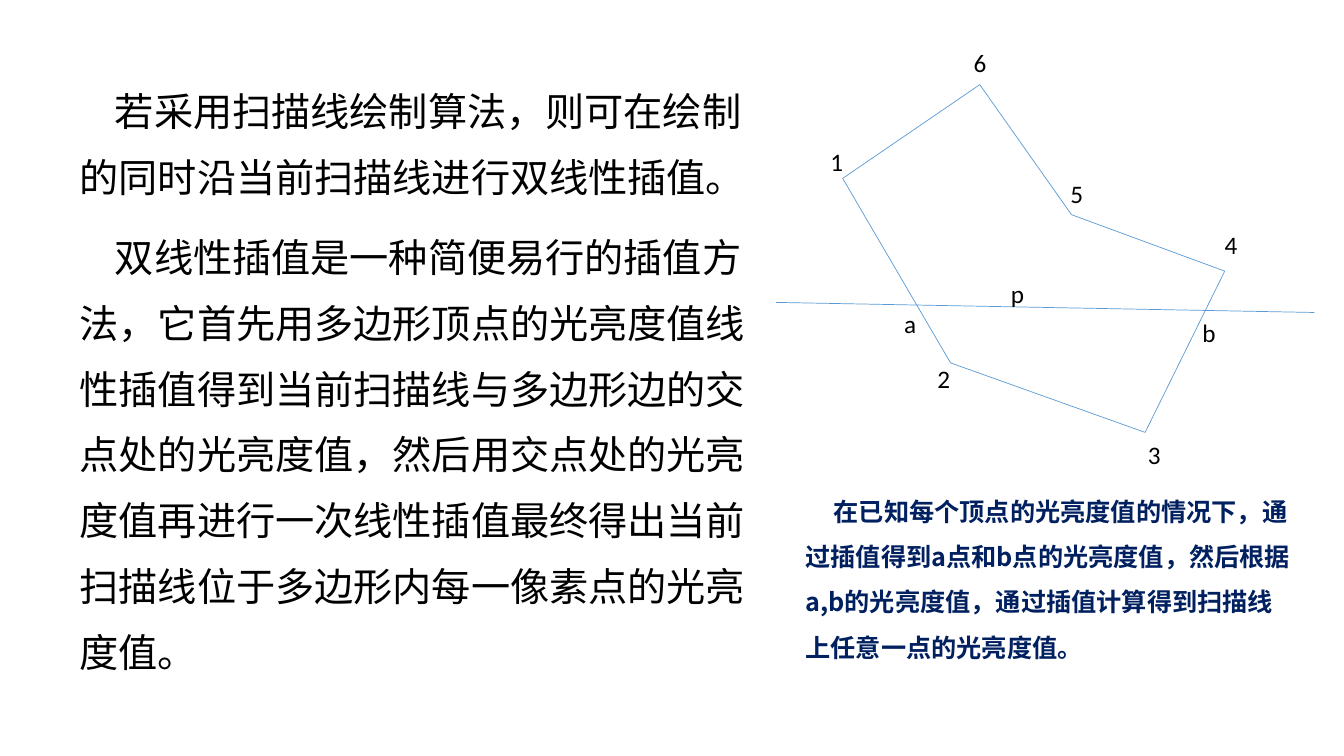
import pptx
import pptx.dml.color
import pptx.enum.shapes
import pptx.enum.text
import pptx.oxml.ns
import pptx.oxml.xmlchemy
import pptx.util

Pt = pptx.util.Pt
FIT = pptx.enum.text.MSO_AUTO_SIZE
CELL = pptx.util.Inches(0.1)  # grid of 133.3 columns by 75 rows

BODY = [
    "若采用扫描线绘制算法，则可在绘制的同时沿当前扫描线进行双线性插值。",
    "双线性插值是一种简便易行的插值方法，它首先用多边形顶点的光亮度值线性插值得到"
    "当前扫描线与多边形边的交点处的光亮度值，然后用交点处的光亮度值再进行一次线性插值"
    "最终得出当前扫描线位于多边形内每一像素点的光亮度值。",
]
NOTE = [
    "在已知每个顶点的光亮度值的情况下，通过插值得到a点和b点的光亮度值，"
    "然后根据a,b的光亮度值，通过插值计算得到扫描线上任意一点的光亮度值。",
]
# Columns and rows from the corner of the figure, vertices 1 to 6
NODES = [(6.6, 13.5), (17.3, 31.8), (36.6, 38.7),
         (44.5, 22.7), (29.3, 17.1), (20.2, 4.2)]
SCAN = [(0, 25.8), (53.4, 26.8)]
MARKS = {
    "1": (4.4, 9.8), "2": (15, 31.4), "3": (35.9, 38.9),
    "4": (43.5, 18.1), "5": (28.2, 13), "6": (18.6, 0),
    "a": (11.7, 25.9), "b": (41.3, 26.8), "p": (22.3, 22.9),
}


def grid(*cells):
    return [round(cell * CELL) for cell in cells]


def color(code):
    return pptx.dml.color.RGBColor.from_string(code)


def append(parent, tag):
    child = pptx.oxml.xmlchemy.OxmlElement(tag)
    parent.append(child)
    return child


def style(run, face, size, code, bold=False):
    font = run.font
    font.name, font.size, font.bold = face, Pt(size), bold
    font.color.rgb = color(code)
    append(run._r.get_or_add_rPr(), "a:ea").set("typeface", face)


def prose(holder, box, texts, size, code, pitch, indent, bold=False):
    """Fill a body placeholder with indented paragraphs without bullets."""
    holder.left, holder.top, holder.width, holder.height = grid(*box)
    frame = holder.text_frame
    frame.text = "\n".join(texts)
    frame.word_wrap, frame.auto_size = True, FIT.NONE
    for rank, para in enumerate(frame.paragraphs):
        props = para._p.get_or_add_pPr()
        props.set("marL", "0")
        props.set("indent", str(grid(indent)[0]))
        append(props, "a:buNone")
        para.line_spacing = pitch
        para.space_before = Pt(10 if rank else 0)
        style(para.runs[0], "Noto Sans CJK SC", size, code, bold)


def edge(group, start, end):
    kind = pptx.enum.shapes.MSO_CONNECTOR.STRAIGHT
    line = group.shapes.add_connector(kind, *grid(*start, *end))
    line.line.color.rgb = color("5B9BD5")
    line.line.width = Pt(0.5)
    append(line._element.find(pptx.oxml.ns.qn("p:spPr")), "a:effectLst")


def label(group, text, spot):
    frame = group.shapes.add_textbox(*grid(*spot, 3.3, 4)).text_frame
    frame.text = text
    frame.word_wrap, frame.auto_size = False, FIT.SHAPE_TO_FIT_TEXT
    style(frame.paragraphs[0].runs[0], "Calibri", 18, "000000")


def figure(slide, left, top):
    """Draw the polygon, its scan line and the point names."""
    def place(spot):
        return left + spot[0], top + spot[1]

    group = slide.shapes.add_group_shape()
    for start, end in [*zip(NODES, NODES[1:] + NODES[:1]), SCAN]:
        edge(group, place(start), place(end))
    for text, spot in MARKS.items():
        label(group, text, place(spot))


def main():
    deck = pptx.Presentation()
    deck.slide_width, deck.slide_height = grid(133.33, 75)
    slide = deck.slides.add_slide(deck.slide_layouts.get_by_name("Two Content"))
    title = slide.shapes.title._element
    title.getparent().remove(title)
    body, note = slide.placeholders
    prose(body, (6.9, 6.3, 71.1, 62.4), BODY, 28, "000000", 1.4, 3.5)
    figure(slide, 77, 4.2)
    prose(note, (78.9, 47.2, 50.1, 20.2), NOTE, 18, "002060", 1.5, 2.8, True)
    deck.save("out.pptx")


if __name__ == "__main__":
    main()
